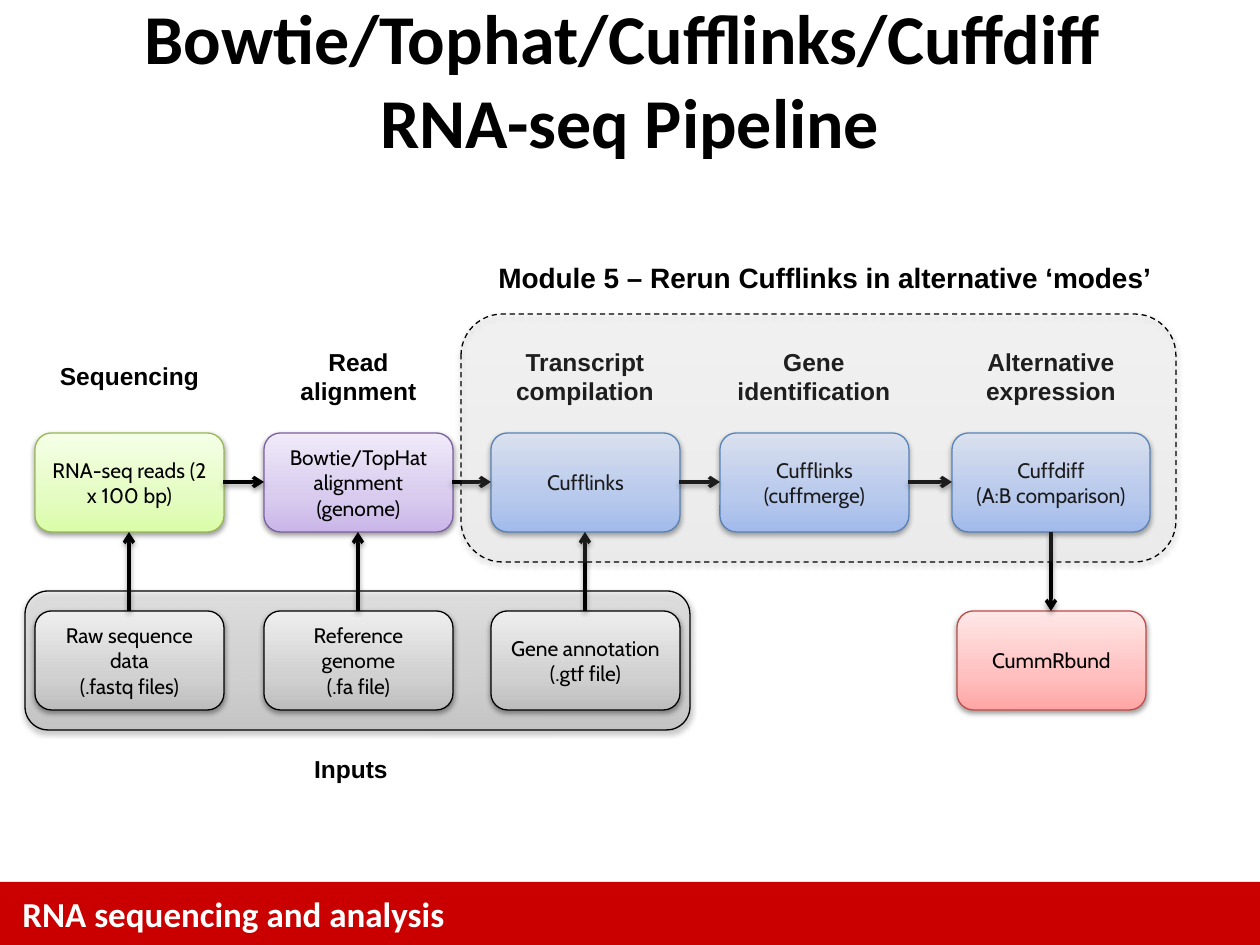
from lxml import etree
from pptx import Presentation
from pptx.dml.color import RGBColor
from pptx.enum.dml import MSO_LINE
from pptx.enum.shapes import MSO_CONNECTOR, MSO_SHAPE
from pptx.enum.text import MSO_ANCHOR, PP_ALIGN
from pptx.oxml import parse_xml
from pptx.oxml.ns import nsdecls, qn
from pptx.util import Emu, Pt

ROUND, RECT = MSO_SHAPE.ROUNDED_RECTANGLE, MSO_SHAPE.RECTANGLE
STRAIGHT, DASH = MSO_CONNECTOR.STRAIGHT, MSO_LINE.DASH
LEFT, CENTER, MIDDLE = PP_ALIGN.LEFT, PP_ALIGN.CENTER, MSO_ANCHOR.MIDDLE

PX = 914400 // 126
COLORS = {"black": "000000", "white": "FFFFFF", "footer": "CA0000"}
THEMES = {
    "green": ("98B955", ("DAFDA7", "E4FCC2", "F5FFE7")),
    "purple": ("7D60A0", ("C9B5E8", "D8CBEE", "F0EAF9")),
    "blue": ("4B7EBC", ("A4C4FF", "BFD4FF", "E6EEFF")),
    "red": ("BF4C48", ("FFA6A5", "FFC0BF", "FFE7E7")),
    "gray": ("000000", ("BDBDBD", "D1D1D1", "EEEEEE")),
}
STOPS = (0, 35, 100)

TITLE = "Bowtie/Tophat/Cufflinks/Cuffdiff \vRNA-seq Pipeline"
MODULE = "Module 5 – Rerun Cufflinks in alternative ‘modes’"
FOOTER = "RNA sequencing and analysis"

# centre, box width, heading width, heading, box text, theme
STEPS = [
    (129, 189, 171, "Sequencing", "RNA-seq reads (2 x 100 bp)", "green"),
    (358, 189, 171, "Read alignment", "Bowtie/TopHat alignment (genome)", "purple"),
    (585, 189, 228, "Transcript compilation", "Cufflinks", "blue"),
    (814, 189, 228, "Gene identification", "Cufflinks (cuffmerge)", "blue"),
    (1051, 198, 228, "Alternative expression", "Cuffdiff\n(A:B comparison)", "blue"),
]
INPUTS = ["Raw sequence data\n(.fastq files)", "Reference genome\n(.fa file)",
          "Gene annotation\n(.gtf file)"]
RESULT = "CummRbund"
BOX_W, BOX_H = 189, 99
STEP_Y, LOWER_Y, HEAD_Y, HEAD_H = 433, 611, 340, 72

prs = Presentation()
prs.slide_width, prs.slide_height = Emu(1260 * PX), Emu(945 * PX)
slide = prs.slides.add_slide(prs.slide_layouts[6])
shapes = slide.shapes


def px(*values):
    return [Emu(v * PX) for v in values]


def rgb(name):
    return RGBColor.from_string(COLORS.get(name, name))


def write(tf, text, size, font, color="black", bold=False, align=CENTER):
    tf.text, tf.vertical_anchor = text, MIDDLE
    for p in tf.paragraphs:
        p.alignment = align
        for r in p.runs:
            r.font.size, r.font.name, r.font.bold = Pt(size), font, bold
            r.font.color.rgb = rgb(color)


def add_text(box, text, size, font, wrap=True, **style):
    tf = shapes.add_textbox(*px(*box)).text_frame
    tf.word_wrap = wrap
    write(tf, text, size, font, **style)


def add_shadow(spPr):
    for old in spPr.findall(qn("a:effectLst")):
        spPr.remove(old)
    spPr.append(parse_xml(
        f'<a:effectLst {nsdecls("a")}><a:outerShdw blurRad="39370" dist="20320" dir="5400000" '
        'rotWithShape="0"><a:srgbClr val="000000"><a:alpha val="38000"/></a:srgbClr>'
        '</a:outerShdw></a:effectLst>'))


def add_box(box, theme, text="", opacity=100):
    line, fills = THEMES[theme]
    sp = shapes.add_shape(ROUND, *px(*box))
    sp.line.color.rgb, sp.line.width = rgb(line), Pt(0.75)
    sp.fill.background()
    stops = "".join(
        f'<a:gs pos="{pos * 1000}"><a:srgbClr val="{fill}"><a:alpha val="{opacity * 1000}"/>'
        '</a:srgbClr></a:gs>' for pos, fill in zip(STOPS, fills))
    spPr = sp._element.spPr
    spPr.replace(spPr.find(qn("a:noFill")), parse_xml(
        f'<a:gradFill {nsdecls("a")} rotWithShape="1"><a:gsLst>{stops}</a:gsLst>'
        '<a:lin ang="16200000" scaled="0"/></a:gradFill>'))
    add_shadow(spPr)
    if text:
        write(sp.text_frame, text, 12, "Cabin")
    return sp


def add_arrow(x1, y1, x2, y2):
    c = shapes.add_connector(STRAIGHT, *px(x1, y1, x2, y2))
    c.line.color.rgb, c.line.width = rgb("black"), Pt(2)
    etree.SubElement(c.line._get_or_add_ln(), qn("a:tailEnd"), type="arrow")
    add_shadow(c._element.spPr)


bar = shapes.add_shape(RECT, *px(0, 882, 1260, 63))
bar.shadow.inherit = False
bar.fill.solid()
bar.fill.fore_color.rgb = rgb("footer")
bar.line.fill.background()
add_text((10, 887, 924, 54), FOOTER, 20, "Calibri", color="white", bold=True, align=LEFT)

add_text((21, -1, 1218, 158), TITLE, 40, "Calibri", bold=True)
add_text((485, 254, 680, 47), MODULE, 16, "Arial", wrap=False, bold=True)
add_box((25, 591, 665, 139), "gray", opacity=51)

for cx, w, head_w, heading, text, theme in STEPS:
    add_box((cx - w // 2, STEP_Y, w, BOX_H), theme, text)
    add_text((cx - head_w // 2, HEAD_Y, head_w, HEAD_H), heading, 14, "Arial", bold=True)

mid_y, step_bottom = STEP_Y + BOX_H // 2, STEP_Y + BOX_H
for (cx, w, *_), (next_cx, next_w, *_) in zip(STEPS, STEPS[1:]):
    add_arrow(cx + w // 2, mid_y, next_cx - next_w // 2, mid_y)

for (cx, *_), text in zip(STEPS, INPUTS):
    add_box((cx - BOX_W // 2, LOWER_Y, BOX_W, BOX_H), "gray", text)
    add_arrow(cx, LOWER_Y, cx, step_bottom)

last_cx = STEPS[-1][0]
add_box((last_cx - BOX_W // 2, LOWER_Y, BOX_W, BOX_H), "red", RESULT)
add_arrow(last_cx, step_bottom, last_cx, LOWER_Y)

add_text((301, 747, 100, 43), "Inputs", 14, "Arial", wrap=False, bold=True)
add_box((461, 314, 715, 248), "gray", opacity=13).line.dash_style = DASH

prs.save("out.pptx")
